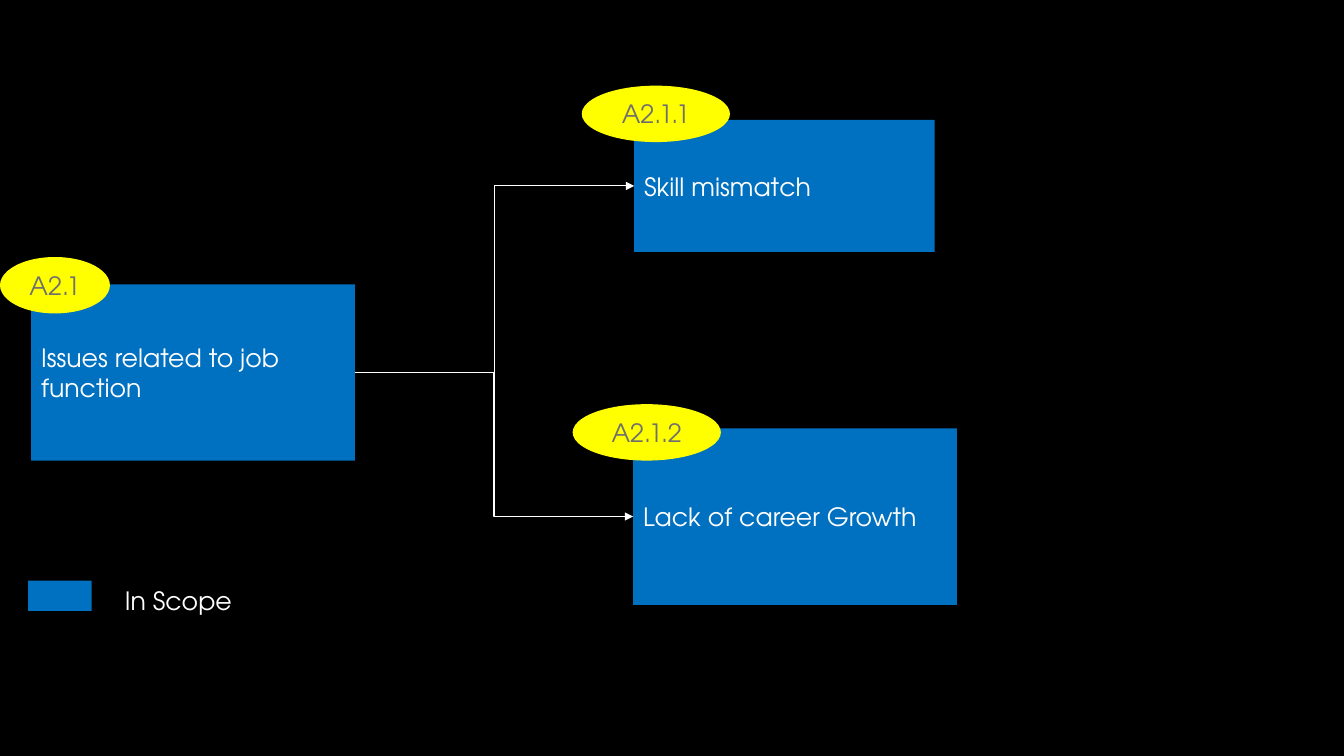
from lxml import etree
from pptx import Presentation
from pptx import util as u
from pptx.dml.color import RGBColor
from pptx.enum import shapes, text
from pptx.oxml.ns import qn

PX = 9144
BLACK = RGBColor(0x00, 0x00, 0x00)
WHITE = RGBColor(0xFF, 0xFF, 0xFF)
BLUE = RGBColor(0x00, 0x70, 0xC0)
YELLOW = RGBColor(0xFF, 0xFF, 0x00)
GREY = RGBColor(0x6F, 0x6F, 0x6F)


class IssueTree:
    """Draws the boxes, badges and arrows of an issue tree on one slide."""

    font = "TeX Gyre Adventor"
    size = u.Pt(18)

    def __init__(self, prs):
        self.slide = prs.slides.add_slide(prs.slide_layouts[6])
        fill = self.slide.background.fill
        fill.solid()
        fill.fore_color.rgb = BLACK

    def set_words(self, sp, words, color, align=text.PP_ALIGN.LEFT):
        tf = sp.text_frame
        tf.text = words
        tf.word_wrap = True
        p = tf.paragraphs[0]
        p.alignment = align
        for r in p.runs:
            r.font.name = self.font
            r.font.size = self.size
            r.font.color.rgb = color

    def shape(self, kind, at, color):
        sp = self.slide.shapes.add_shape(kind, *(v * PX for v in at))
        sp.shadow.inherit = False
        sp.fill.solid()
        sp.fill.fore_color.rgb = color
        sp.line.fill.background()
        sp.text_frame.vertical_anchor = text.MSO_ANCHOR.MIDDLE
        return sp

    def box(self, at, words=""):
        sp = self.shape(shapes.MSO_SHAPE.RECTANGLE, at, BLUE)
        if words:
            self.set_words(sp, words, WHITE)
        return sp

    def badge(self, x, y, w, words):
        sp = self.shape(shapes.MSO_SHAPE.OVAL, (x, y, w, 56), YELLOW)
        self.set_words(sp, words, GREY, text.PP_ALIGN.CENTER)

    def label(self, at, words):
        sp = self.slide.shapes.add_textbox(*(v * PX for v in at))
        self.set_words(sp, words, WHITE)
        sp.text_frame.auto_size = text.MSO_AUTO_SIZE.SHAPE_TO_FIT_TEXT

    def arrow(self, start, end):
        cx = self.slide.shapes.add_connector(
            shapes.MSO_CONNECTOR.ELBOW,
            start.left + start.width, start.top + start.height // 2,
            end.left, end.top + end.height // 2)
        cx.begin_connect(start, 3)
        cx.end_connect(end, 1)
        cx.line.color.rgb = WHITE
        cx.line.width = u.Pt(0.75)
        props = cx._element.spPr
        etree.SubElement(props.find(qn("a:ln")), qn("a:tailEnd"), type="triangle")
        etree.SubElement(props, qn("a:effectLst"))


def main():
    prs = Presentation()
    prs.slide_width, prs.slide_height = u.Inches(13.33), u.Inches(7.5)
    tree = IssueTree(prs)

    issue = tree.box((31, 282, 321, 175), "Issues related to job function")
    skill = tree.box((629, 119, 298, 131), "Skill mismatch")
    career = tree.box((628, 425, 321, 175), "Lack of career Growth")
    for cause in (skill, career):
        tree.arrow(issue, cause)

    tree.badge(0, 255, 109, "A2.1")
    tree.badge(577, 85, 147, "A2.1.1")
    tree.badge(568, 401, 147, "A2.1.2")

    tree.box((28, 576, 63, 30))
    tree.label((114, 576, 168, 40), "In Scope")
    prs.save("out.pptx")


if __name__ == "__main__":
    main()
